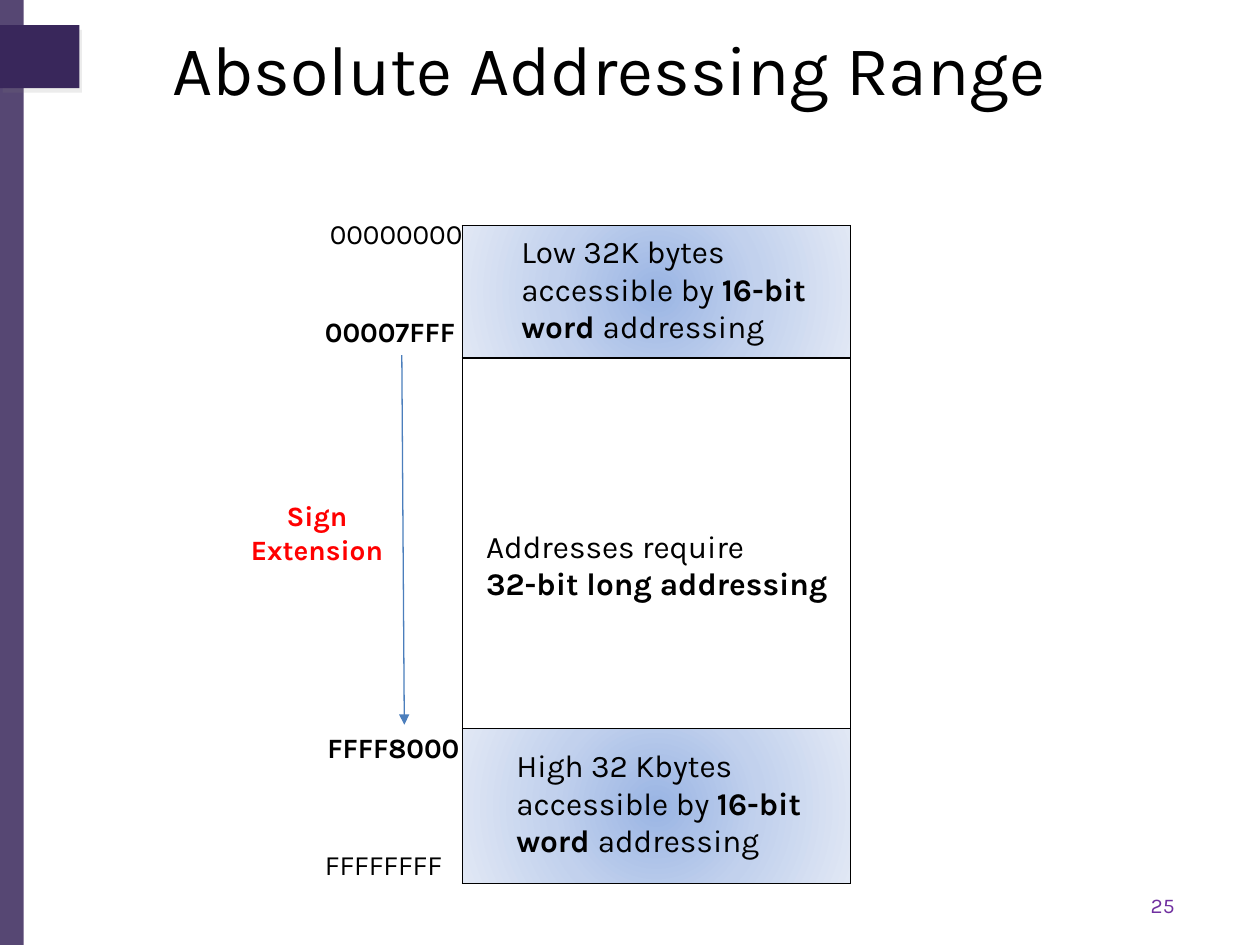
import pptx
import pptx.util
import pptx.dml.color
import pptx.enum.shapes
import pptx.enum.text
import pptx.oxml
import pptx.oxml.ns
from pptx.util import Cm

THEME = {
    "font": "Karla",
    "ink": "000000", "paper": "FFFFFF", "purple": "39275B", "number": "7030A0",
    "alert": "FF0000", "arrow": "4B7EBC", "shadow": "808080",
    "glow": [(0, "9AB5E4"), (50, "C2D1ED"), (100, "E1E8F5")],
    "title_pt": 40, "body_pt": 18, "label_pt": 16, "number_pt": 12,
}
RGB = pptx.dml.color.RGBColor.from_string
ALIGN = pptx.enum.text.PP_ALIGN


def add_xml(parent, xml):
    """Append a DrawingML fragment to an element."""
    tag_end = min(i for i in (xml.find(" "), xml.find("/"), xml.find(">")) if i > 0)
    namespace = " " + pptx.oxml.ns.nsdecls("a")
    parent.append(pptx.oxml.parse_xml(xml[:tag_end] + namespace + xml[tag_end:]))


def write(frame, paragraphs, size, color=THEME["ink"], align=ALIGN.LEFT):
    """Fill a text frame; each paragraph is a list of (text, bold) runs."""
    frame.word_wrap = True
    for index, runs in enumerate(paragraphs):
        paragraph = frame.paragraphs[0] if index == 0 else frame.add_paragraph()
        paragraph.alignment = align
        for text, bold in runs:
            run = paragraph.add_run()
            run.text = text
            run.font.name = THEME["font"]
            run.font.size = pptx.util.Pt(size)
            run.font.bold = bold
            run.font.color.rgb = RGB(color)


deck = pptx.Presentation()
deck.slide_width, deck.slide_height = Cm(25.4), Cm(19.05)
slide = deck.slides.add_slide(deck.slide_layouts[5])
shapes = slide.shapes

# Side band and tab
side_band, tab = [
    shapes.add_shape(pptx.enum.shapes.MSO_SHAPE.RECTANGLE, *map(Cm, place))
    for place in ((0, 0, 0.48, 19.05), (0, 0.51, 1.6, 1.27))
]
for bar in (side_band, tab):
    bar.shadow.inherit = False
    bar.fill.solid()
    bar.fill.fore_color.rgb = RGB(THEME["purple"])
    bar.line.fill.background()
band_color = side_band.fill._xPr.find(".//" + pptx.oxml.ns.qn("a:srgbClr"))
add_xml(band_color, '<a:alpha val="85000"/>')
tab_effects = tab.fill._xPr.find(pptx.oxml.ns.qn("a:effectLst"))
add_xml(tab_effects,
        '<a:outerShdw blurRad="0" dist="38100" dir="3600000" rotWithShape="0">'
        f'<a:srgbClr val="{THEME["shadow"]}"><a:alpha val="15000"/></a:srgbClr>'
        '</a:outerShdw>')

# Title
title = shapes.title
title.left, title.top, title.width, title.height = map(Cm, (0.84, 0.2, 22.86, 2.34))
title.text_frame.vertical_anchor = pptx.enum.text.MSO_ANCHOR.MIDDLE
title.text_frame.auto_size = pptx.enum.text.MSO_AUTO_SIZE.NONE
write(title.text_frame, [[("Absolute Addressing Range", False)]],
      THEME["title_pt"], align=ALIGN.CENTER)

# Memory map: low, middle and high address regions
stops = "".join(f'<a:gs pos="{pos * 1000}"><a:srgbClr val="{color}"/></a:gs>'
                for pos, color in THEME["glow"])
glow_fill = (f'<a:gradFill rotWithShape="1"><a:gsLst>{stops}</a:gsLst>'
             '<a:path path="circle"><a:fillToRect l="50000" t="50000" r="50000" '
             'b="50000"/></a:path></a:gradFill>')
plain_fill = f'<a:solidFill><a:srgbClr val="{THEME["paper"]}"/></a:solidFill>'
regions = [(2.67, glow_fill), (7.47, plain_fill), (3.12, glow_fill)]
memory_map = shapes.add_table(
    len(regions), 1, Cm(9.32), Cm(4.55), Cm(7.82), Cm(13.26)).table
memory_map.first_row = memory_map.horz_banding = False
for row, (height, fill) in enumerate(regions):
    memory_map.rows[row].height = Cm(height)
    cell_properties = memory_map.cell(row, 0)._tc.get_or_add_tcPr()
    for side in "LRTB":
        add_xml(cell_properties,
                f'<a:ln{side} w="12700"><a:solidFill><a:srgbClr val="{THEME["ink"]}"/>'
                f'</a:solidFill></a:ln{side}>')
    add_xml(cell_properties, fill)

# Region descriptions, address labels, sign extension note and slide number
body, label = THEME["body_pt"], THEME["label_pt"]
reach = [("accessible by ", False), ("16-bit word ", True), ("addressing", False)]
texts = [
    ((10.26, 4.55, 6.25, 2.57), [[("Low 32K bytes ", False)] + reach], body),
    ((10.16, 14.91, 6.35, 2.57), [[("High 32 Kbytes ", False)] + reach], body),
    ((9.55, 10.49, 7.42, 1.8),
     [[("Addresses require", False)], [("32-bit long addressing", True)]], body),
    ((6.4, 4.24, 3.61, 0.94), [[("00000000", False)]], label),
    ((6.3, 6.22, 3.61, 0.94), [[("00007FFF", True)]], label),
    ((6.35, 14.61, 3.61, 0.94), [[("FFFF8000", True)]], label),
    ((6.3, 16.97, 3.81, 0.94), [[("FFFFFFFF", False)]], label),
    ((4.75, 9.93, 3.28, 1.63), [[("Sign Extension", True)]], label,
     THEME["alert"], ALIGN.CENTER),
    ((21.39, 17.86, 2.54, 0.76), [[("25", False)]], THEME["number_pt"],
     THEME["number"], ALIGN.RIGHT),
]
for place, *content in texts:
    write(shapes.add_textbox(*map(Cm, place)).text_frame, *content)

# Sign extension arrow
extension = shapes.add_connector(
    pptx.enum.shapes.MSO_CONNECTOR.STRAIGHT, Cm(8.1), Cm(7.16), Cm(8.15), Cm(14.61))
extension.line.width = pptx.util.Pt(0.75)
extension.line.color.rgb = RGB(THEME["arrow"])
add_xml(extension.line._get_or_add_ln(), '<a:tailEnd type="triangle"/>')
add_xml(extension._element.spPr, "<a:effectLst/>")

deck.save("out.pptx")
